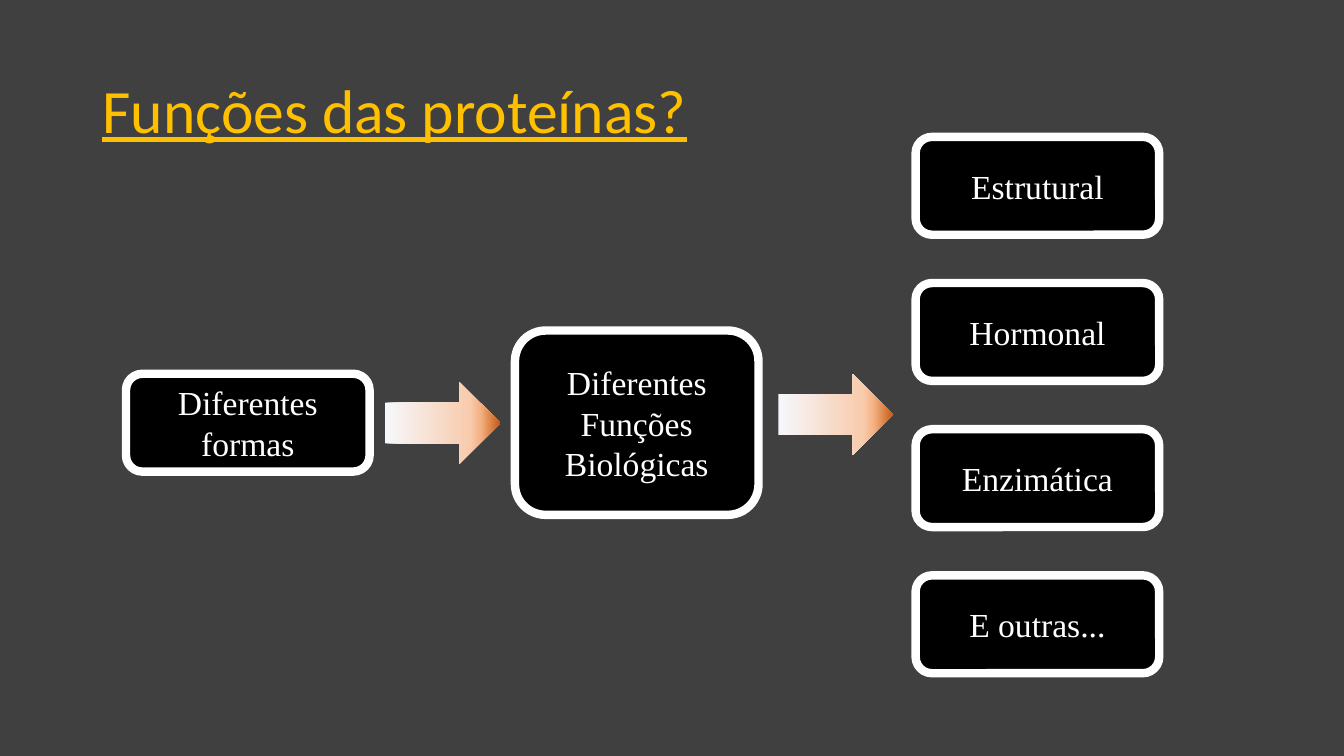
"""Build a slide on the functions of proteins as a left-to-right flow."""
import pptx
import pptx.dml.color
import pptx.enum.dml
import pptx.enum.shapes
import pptx.enum.text
import pptx.oxml
import pptx.oxml.ns
import pptx.util

COLORS = {
    "background": "404040",
    "title": "FFC000",
    "box": "000000",
    "light": "FFFFFF",
}
ARROW_STOPS = {0: "F6F8FC", 74: "F8CBAD", 83: "F4B183", 100: "C55A11"}
COLUMNS, ROWS = 32, 18
BOX_WIDTH, BOX_HEIGHT = 5.8, 2.33
FUNCTIONS = ["Estrutural", "Hormonal", "Enzimática", "E outras..."]
FUNCTION_COLUMN, FUNCTION_ROW, FUNCTION_PITCH = 21.8, 3.26, 3.48


class FlowSlide:
    """Hold the style and the current slide, measured in columns and rows."""

    def __init__(self, presentation):
        self.cell_width = presentation.slide_width / COLUMNS
        self.cell_height = presentation.slide_height / ROWS
        self.slide = presentation.slides.add_slide(presentation.slide_layouts[5])
        background = self.slide.background.fill
        background.solid()
        background.fore_color.rgb = self.color("background")

    def color(self, name):
        return pptx.dml.color.RGBColor.from_string(COLORS[name])

    def area(self, column, row, width, height):
        return (
            round(column * self.cell_width),
            round(row * self.cell_height),
            round(width * self.cell_width),
            round(height * self.cell_height),
        )

    def set_text(self, shape, text, font_name, size, color, alignment):
        frame = shape.text_frame
        frame.text = text
        frame.word_wrap = True
        frame.auto_size = pptx.enum.text.MSO_AUTO_SIZE.NONE
        frame.vertical_anchor = pptx.enum.text.MSO_ANCHOR.MIDDLE
        for paragraph in frame.paragraphs:
            paragraph.alignment = alignment
            for run in paragraph.runs:
                run.font.name = font_name
                run.font.size = pptx.util.Pt(size)
                run.font.color.rgb = self.color(color)

    def title(self, text, *cells):
        shape = self.slide.shapes.title
        shape.left, shape.top, shape.width, shape.height = self.area(*cells)
        self.set_text(shape, text, "Calibri", 44, "title", pptx.enum.text.PP_ALIGN.LEFT)
        paragraph = shape.text_frame.paragraphs[0]
        paragraph.line_spacing = 0.9
        paragraph.runs[0].font.underline = True

    def shape(self, kind, *cells):
        shape = self.slide.shapes.add_shape(kind, *self.area(*cells))
        shape.shadow.inherit = False
        return shape

    def box(self, text, column, row, height=BOX_HEIGHT):
        kind = pptx.enum.shapes.MSO_SHAPE.ROUNDED_RECTANGLE
        shape = self.shape(kind, column, row, BOX_WIDTH, height)
        shape.fill.solid()
        shape.fill.fore_color.rgb = self.color("box")
        shape.line.color.rgb = self.color("light")
        shape.line.width = pptx.util.Pt(6)
        self.set_text(shape, text, "Times New Roman", 24, "light",
                      pptx.enum.text.PP_ALIGN.CENTER)

    def arrow(self, column, row):
        shape = self.shape(pptx.enum.shapes.MSO_SHAPE.RIGHT_ARROW, column, row, 2.74, 1.94)
        shape.line.fill.background()
        shape.fill.gradient()
        shape.fill.gradient_angle = 0
        stops = shape.element.spPr.find(".//" + pptx.oxml.ns.qn("a:gsLst"))
        for stop in list(stops):
            stops.remove(stop)
        for percent, color in ARROW_STOPS.items():
            stops.append(pptx.oxml.parse_xml(
                f'<a:gs {pptx.oxml.ns.nsdecls("a")} pos="{percent * 1000}">'
                f'<a:srgbClr val="{color}"/></a:gs>'
            ))


def main():
    presentation = pptx.Presentation()
    presentation.slide_width = pptx.util.Inches(13.33)
    presentation.slide_height = pptx.util.Inches(7.5)
    flow = FlowSlide(presentation)
    flow.title("Funções das proteínas?", 2.2, 0.96, 27.6, 3.48)
    flow.box("Diferentes formas", 3, 8.9)
    flow.arrow(9.17, 9.1)
    flow.box("Diferentes Funções\nBiológicas", 12.26, 7.87, 4.39)
    flow.arrow(18.53, 8.9)
    for index, function in enumerate(FUNCTIONS):
        flow.box(function, FUNCTION_COLUMN, FUNCTION_ROW + index * FUNCTION_PITCH)
    presentation.save("out.pptx")


if __name__ == "__main__":
    main()
